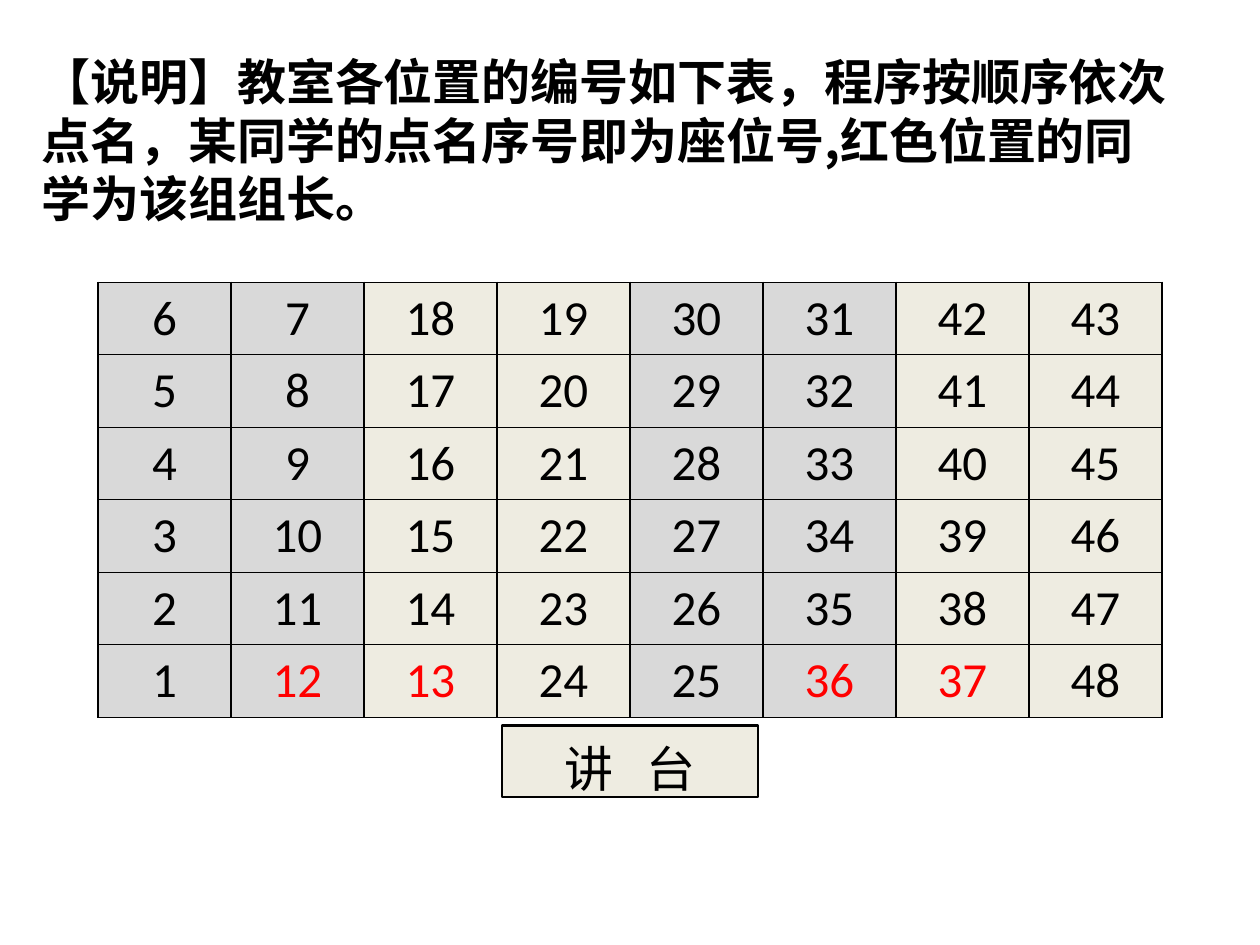
import pptx
import pptx.dml.color
import pptx.enum.shapes
import pptx.enum.text
import pptx.oxml
import pptx.oxml.ns
import pptx.util
from lxml import etree

Pt = pptx.util.Pt
ANCHOR = pptx.enum.text.MSO_ANCHOR
ALIGN = pptx.enum.text.PP_ALIGN
CJK_FONT = "Noto Sans CJK SC"
BLACK, RED = "000000", "FF0000"
GREY, CREAM = "D9D9D9", "EEECE1"
ROWS, COLUMNS = 6, 8


def colour(value):
    return pptx.dml.color.RGBColor.from_string(value)


def add_run(paragraph, text, font_name, text_colour=BLACK, bold=False):
    run = paragraph.add_run()
    run.text = text
    run.font.name = font_name
    run.font.size = Pt(28)
    run.font.bold = bold
    run.font.color.rgb = colour(text_colour)
    if font_name == CJK_FONT:
        east_asian = etree.SubElement(run.font._element, pptx.oxml.ns.qn("a:ea"))
        east_asian.set("typeface", font_name)
    return run


def add_explanation(slide, left, top, width, height):
    explanation = slide.shapes.add_textbox(Pt(left), Pt(top), Pt(width), Pt(height))
    frame = explanation.text_frame
    frame.word_wrap = True
    frame.margin_top, frame.margin_right = Pt(7), Pt(14)
    paragraph = frame.paragraphs[0]
    paragraph.line_spacing = Pt(33.6)
    add_run(paragraph,
            "【说明】教室各位置的编号如下表，程序按顺序依次点名，"
            "某同学的点名序号即为座位号,红色位置的同学为该组组长。",
            CJK_FONT, bold=True)


def add_borders(cell):
    properties = cell._tc.get_or_add_tcPr()
    for side in ("lnL", "lnR", "lnT", "lnB"):
        properties.append(pptx.oxml.parse_xml(
            f'<a:{side} {pptx.oxml.ns.nsdecls("a")} w="{Pt(0.75)}">'
            f'<a:solidFill><a:srgbClr val="{BLACK}"/></a:solidFill></a:{side}>'))


def seat_number(row, column):
    """Numbers climb the even columns and come back down the odd ones."""
    step = row if column % 2 else ROWS - 1 - row
    return column * ROWS + step + 1


def add_seating_plan(slide, left, top, width, height):
    seats = slide.shapes.add_table(
        ROWS, COLUMNS, Pt(left), Pt(top), Pt(width), Pt(height)).table
    seats.first_row = seats.horz_banding = False
    for row in range(ROWS):
        for column in range(COLUMNS):
            seat = seats.cell(row, column)
            add_borders(seat)
            seat.fill.solid()
            seat.fill.fore_color.rgb = colour(CREAM if column // 2 % 2 else GREY)
            seat.vertical_anchor = ANCHOR.MIDDLE
            seat.margin_left = seat.margin_right = Pt(6)
            paragraph = seat.text_frame.paragraphs[0]
            paragraph.alignment = ALIGN.CENTER
            number = seat_number(row, column)
            # Group leaders sit at the front, on both sides of an aisle
            is_leader = number % 24 in (12, 13)
            add_run(paragraph, str(number), "Calibri", RED if is_leader else BLACK)


def add_teacher_desk(slide, left, top, width, height):
    desk = slide.shapes.add_shape(pptx.enum.shapes.MSO_SHAPE.RECTANGLE,
                                  Pt(left), Pt(top), Pt(width), Pt(height))
    desk.shadow.inherit = False
    desk.fill.solid()
    desk.fill.fore_color.rgb = colour(CREAM)
    desk.line.color.rgb = colour(BLACK)
    desk.line.width = Pt(1.5)
    frame = desk.text_frame
    frame.word_wrap = True
    frame.vertical_anchor = ANCHOR.MIDDLE
    frame.margin_top, frame.margin_bottom = Pt(7), Pt(0)
    paragraph = frame.paragraphs[0]
    paragraph.alignment = ALIGN.CENTER
    paragraph.line_spacing = Pt(33.6)
    add_run(paragraph, "讲", CJK_FONT)
    # Character spacing, in hundredths of a point, widens the gap
    gap = add_run(paragraph, " ", CJK_FONT)
    gap.font._element.set("spc", "1300")
    add_run(paragraph, "台", CJK_FONT)


def main():
    presentation = pptx.Presentation()
    presentation.slide_width, presentation.slide_height = Pt(720), Pt(540)
    slide = presentation.slides.add_slide(presentation.slide_layouts[6])
    add_seating_plan(slide, 56, 161.3, 608, 207)
    add_teacher_desk(slide, 286.8, 414.6, 146.4, 41)
    add_explanation(slide, 16.6, 22.3, 669, 118)
    presentation.save("out.pptx")


if __name__ == "__main__":
    main()
